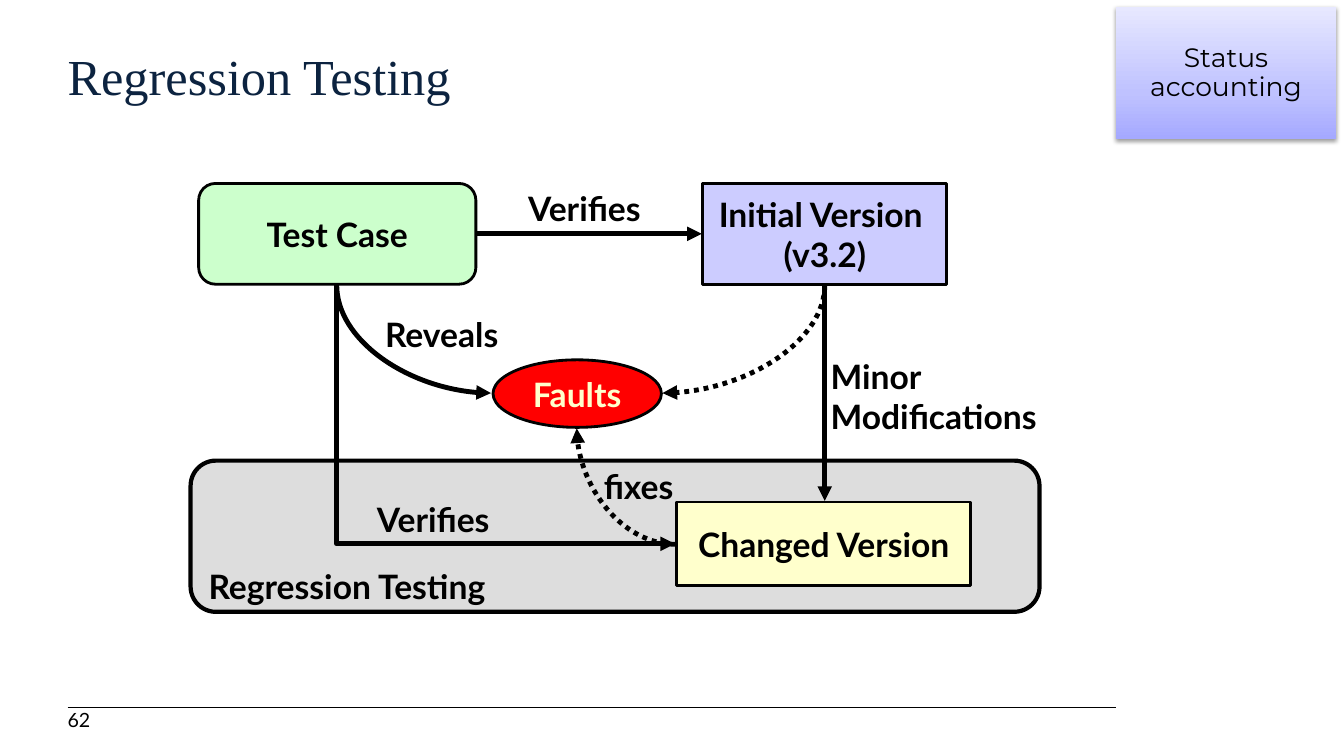
from lxml import etree
from pptx import Presentation
from pptx import oxml, util as u
from pptx.dml.color import RGBColor
from pptx.enum import dml, shapes, text
from pptx.oxml.ns import nsdecls, qn

PX = 9144  # 100 px to the inch

BLACK = RGBColor(0x00, 0x00, 0x00)
NAVY = RGBColor(0x0C, 0x23, 0x40)
GREY = RGBColor(0xDD, 0xDD, 0xDD)
LILAC = RGBColor(0xCC, 0xCC, 0xFF)
CREAM = RGBColor(0xFF, 0xFF, 0xCC)
MINT = RGBColor(0xCC, 0xFF, 0xCC)
RED = RGBColor(0xFF, 0x00, 0x00)

SHAPE = shapes.MSO_SHAPE
CONNECTOR = shapes.MSO_CONNECTOR
SOLID, DOTTED = dml.MSO_LINE.SOLID, dml.MSO_LINE.ROUND_DOT

presentation = Presentation()
presentation.slide_width = 1333 * PX
presentation.slide_height = 750 * PX
slide = presentation.slides.add_slide(presentation.slide_layouts[6])


def write(shape, lines, size, font, color, bold=False, align=text.PP_ALIGN.LEFT,
          anchor=text.MSO_ANCHOR.TOP, wrap=True, insets=(10, 5, 10, 5)):
    frame = shape.text_frame
    frame.word_wrap = wrap
    frame.vertical_anchor = anchor
    frame.margin_left, frame.margin_top, frame.margin_right, frame.margin_bottom = (
        inset * PX for inset in insets)
    frame.text = lines
    for paragraph in frame.paragraphs:
        paragraph.alignment = align
        paragraph.font.size = u.Pt(size)
        paragraph.font.name = font
        paragraph.font.bold = bold
        paragraph.font.color.rgb = color


def connect(kind, start_x, start_y, end_x, end_y, width, dash=SOLID):
    connector = slide.shapes.add_connector(
        kind, start_x * PX, start_y * PX, end_x * PX, end_y * PX)
    connector.line.color.rgb = BLACK
    connector.line.width = u.Pt(width)
    connector.line.dash_style = dash
    etree.SubElement(connector._element.spPr, qn("a:effectLst"))
    return connector


# Footer rule, page number and title
connect(CONNECTOR.STRAIGHT, 67, 702, 1107, 702, 0.75)
page_number = slide.shapes.add_textbox(67 * PX, 706 * PX, 53 * PX, 21 * PX)
write(page_number, "62", 14, "Lato", BLACK, anchor=text.MSO_ANCHOR.MIDDLE,
      insets=(0, 0, 10, 5))
title = slide.shapes.add_textbox(67 * PX, 45 * PX, 1041 * PX, 93 * PX)
write(title, "Regression Testing", 36, "Times New Roman", NAVY, insets=(0, 0, 10, 5))

# Diagram boxes, the regression area first
boxes = [
    (SHAPE.ROUNDED_RECTANGLE, 189, 457, 842, 150, GREY, 3, "", BLACK),
    (SHAPE.RECTANGLE, 697, 182, 242, 100, LILAC, 2, "Initial Version \n(v3.2)", BLACK),
    (SHAPE.RECTANGLE, 671, 498, 292, 83, CREAM, 2, "Changed Version", BLACK),
    (SHAPE.ROUNDED_RECTANGLE, 197, 182, 275, 100, MINT, 2, "Test Case", BLACK),
    (SHAPE.OVAL, 489, 357, 167, 67, RED, 2, "Faults", CREAM),
]
for kind, left, top, width, height, fill, border, lines, color in boxes:
    box = slide.shapes.add_shape(kind, left * PX, top * PX, width * PX, height * PX)
    box.shadow.inherit = False
    box.fill.solid()
    box.fill.fore_color.rgb = fill
    box.line.color.rgb = BLACK
    box.line.width = u.Pt(border)
    if lines:
        write(box, lines, 24, "Lato", color, bold=True, align=text.PP_ALIGN.CENTER,
              anchor=text.MSO_ANCHOR.MIDDLE, wrap=False)

# Arrows: the two-part presets leave sideways, so a downward start is a turned box
arrows = [
    (CONNECTOR.STRAIGHT, 473, 232, 696, 232, SOLID, None, None),
    (CONNECTOR.CURVE, 334, 283, 487, 390, SOLID, "curvedConnector2", 270),
    (CONNECTOR.CURVE, 818, 283, 657, 390, DOTTED, "curvedConnector2", 90),
    (CONNECTOR.CURVE, 670, 540, 572, 425, DOTTED, "curvedConnector2", 180),
    (CONNECTOR.STRAIGHT, 818, 283, 818, 497, SOLID, None, None),
    (CONNECTOR.ELBOW, 334, 283, 670, 540, SOLID, "bentConnector2", 270),
]
for kind, start_x, start_y, end_x, end_y, dash, preset, turn in arrows:
    if preset:
        half_width, half_height = abs(end_x - start_x) / 2, abs(end_y - start_y) / 2
        if turn != 180:
            half_width, half_height = half_height, half_width
        middle_x, middle_y = (start_x + end_x) / 2, (start_y + end_y) / 2
        flip = -1 if turn == 270 else 1
        start_x, end_x = (int(middle_x - flip * half_width),
                          int(middle_x + flip * half_width))
        start_y, end_y = int(middle_y - half_height), int(middle_y + half_height)
    arrow = connect(kind, start_x, start_y, end_x, end_y, 3.5, dash)
    if preset:
        properties = arrow._element.spPr
        properties.find(qn("a:prstGeom")).set("prst", preset)
        properties.find(qn("a:xfrm")).set("rot", str(turn * 60000))
    etree.SubElement(arrow.line._get_or_add_ln(), qn("a:tailEnd"), type="triangle")

# Labels
labels = [
    (514, 182, 140, 50, "Verifies"),
    (372, 307, 138, 50, "Reveals"),
    (814, 348, 228, 91, "Minor\nModifications"),
    (589, 457, 108, 50, "fixes"),
    (364, 490, 140, 50, "Verifies"),
    (197, 557, 310, 50, "Regression Testing"),
]
for left, top, width, height, lines in labels:
    label = slide.shapes.add_textbox(left * PX, top * PX, width * PX, height * PX)
    write(label, lines, 24, "Lato", BLACK, bold=True)

# Corner tag with gradient and soft shadow
tag = slide.shapes.add_shape(SHAPE.RECTANGLE, 1107 * PX, 7 * PX, 218 * PX, 131 * PX)
tag.shadow.inherit = False
tag.line.fill.background()
write(tag, "Status accounting", 19, "Montserrat", BLACK, align=text.PP_ALIGN.CENTER,
      anchor=text.MSO_ANCHOR.MIDDLE, insets=(8, 8, 8, 8))
tag.text_frame.paragraphs[0].line_spacing = 0.9
stops = "".join(
    f'<a:gs pos="{position * 1000}"><a:srgbClr val="{color}"/></a:gs>'
    for position, color in [(0, "A5A9FF"), (35, "BFC2FF"), (100, "E7E8FF")])
gradient = oxml.parse_xml(
    f'<a:gradFill {nsdecls("a")} rotWithShape="1"><a:gsLst>{stops}</a:gsLst>'
    '<a:lin ang="16200000" scaled="0"/></a:gradFill>')
tag._element.spPr.find(qn("a:prstGeom")).addnext(gradient)
shadow = oxml.parse_xml(
    f'<a:outerShdw {nsdecls("a")} blurRad="{u.Pt(3.1)}" dist="{u.Pt(1.6)}" '
    'dir="5400000" rotWithShape="0"><a:srgbClr val="000000">'
    '<a:alpha val="38000"/></a:srgbClr></a:outerShdw>')
tag._element.spPr.find(qn("a:effectLst")).append(shadow)

presentation.save("out.pptx")
